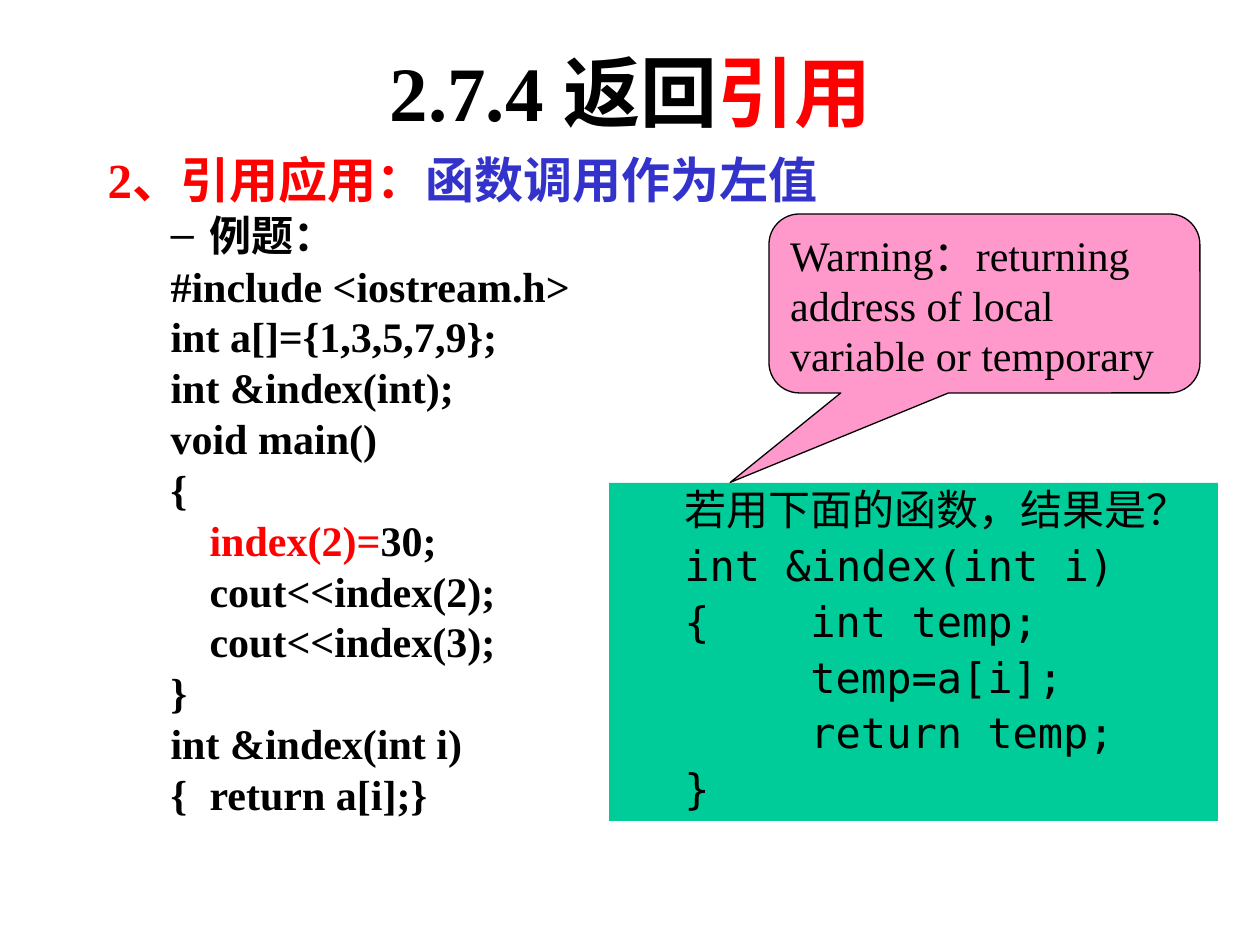
from lxml import etree
from pptx import Presentation
from pptx.dml.color import RGBColor
from pptx.enum.shapes import MSO_SHAPE
from pptx.enum.text import MSO_ANCHOR, MSO_AUTO_SIZE, PP_ALIGN
from pptx.oxml.ns import qn
from pptx.util import Emu, Pt

RECTANGLE, CALLOUT = MSO_SHAPE.RECTANGLE, MSO_SHAPE.ROUNDED_RECTANGULAR_CALLOUT
TOP, MIDDLE = MSO_ANCHOR.TOP, MSO_ANCHOR.MIDDLE
LEFT, CENTER = PP_ALIGN.LEFT, PP_ALIGN.CENTER
NO_FIT = MSO_AUTO_SIZE.NONE

THEME = {
    "black": "000000", "red": "FF0000", "blue": "3333CC",
    "green": "00CC99", "pink": "FF99CC",
    "serif": "Times New Roman", "mono": "DejaVu Sans Mono",
    "title": 44, "heading": 28, "text": 24,
}

# Content: each line is a list of (text, colour) spans
TITLE = [("2.7.4 返回", "black"), ("引用", "red")]
HEADING = [("2、引用应用：", "red"), ("函数调用作为左值", "blue")]
EXAMPLE = [("例题：", "black")]
PROGRAM = [
    [("#include <iostream.h>", "black")],
    [("int a[]={1,3,5,7,9};", "black")],
    [("int &index(int);", "black")],
    [("void main()", "black")],
    [("{", "black")],
    [("\t", "black"), ("index(2)=", "red"), ("30;", "black")],
    [("\tcout<<index(2);", "black")],
    [("\tcout<<index(3);", "black")],
    [("}", "black")],
    [("int &index(int i)", "black")],
    [("{\treturn a[i];}", "black")],
]
QUESTION = ["若用下面的函数，结果是？", "int &index(int i)", "{\tint temp;",
            "\ttemp=a[i];", "\treturn temp;", "}"]
WARNING = [("Warning：returning address of local variable or temporary", "black")]

# Places in px: left, top, width, height
PAGE = (1260, 945)
TITLE_AT = (95, 26, 1071, 129)
BODY_AT = (95, 155, 1071, 685)
QUESTION_AT = (609, 483, 609, 338)
WARNING_AT = (769, 214, 431, 179)
CALLOUT_POINT = (-0.59, 1.0, 0.17)

# Paragraph styles; margin and hang in px
TITLE_STYLE = {"size": "title", "bold": True, "align": CENTER}
HEADING_STYLE = {"size": "heading", "bold": True, "margin": 47, "hang": 47,
                 "line_spacing": 0.8, "before": 7}
CODE_STYLE = {"size": "text", "bold": True, "margin": 102, "hang": 39,
              "line_spacing": 0.8, "before": 6, "level": 1}
EXAMPLE_STYLE = {**CODE_STYLE, "bullet": "–"}
QUESTION_STYLE = {"size": "text", "font": "mono", "margin": 189, "hang": 126,
                  "line_spacing": 0.9, "before": 6}
WARNING_STYLE = {"size": "text"}


def px(value):
    return Emu(round(value * 914400 / 126))


def colour(name):
    return RGBColor.from_string(THEME[name])


def set_attributes(target, values):
    for name, value in values.items():
        setattr(target, name, value)


def place(shape, at):
    set_attributes(shape, dict(zip(("left", "top", "width", "height"), map(px, at))))


def write(shape, lines, anchor=TOP):
    """Fill a shape with (spans, style) lines."""
    frame = shape.text_frame
    set_attributes(frame, {"word_wrap": True, "auto_size": NO_FIT,
                           "vertical_anchor": anchor})
    for number, (spans, style) in enumerate(lines):
        para = frame.add_paragraph() if number else frame.paragraphs[0]
        set_attributes(para, {
            "alignment": style.get("align", LEFT),
            "level": style.get("level", 0),
            "line_spacing": style.get("line_spacing", 1.0),
            "space_before": Pt(style.get("before", 0)),
        })
        properties = para._p.get_or_add_pPr()
        properties.set("marL", str(px(style.get("margin", 0))))
        properties.set("indent", str(-px(style.get("hang", 0))))
        if "bullet" in style:
            etree.SubElement(properties, qn("a:buChar"), char=style["bullet"])
        else:
            etree.SubElement(properties, qn("a:buNone"))
        for text, ink in spans:
            span = para.add_run()
            span.text = text
            set_attributes(span.font, {
                "name": THEME[style.get("font", "serif")],
                "size": Pt(THEME[style["size"]]),
                "bold": style.get("bold", False),
            })
            span.font.color.rgb = colour(ink)


def add_box(page, kind, at, fill):
    box = page.shapes.add_shape(kind, *map(px, at))
    box.shadow.inherit = False
    box.fill.solid()
    box.fill.fore_color.rgb = colour(fill)
    return box


deck = Presentation()
deck.slide_width, deck.slide_height = map(px, PAGE)
page = deck.slides.add_slide(deck.slide_layouts[1])
title, body = page.placeholders

# Title and program listing
place(title, TITLE_AT)
write(title, [(TITLE, TITLE_STYLE)], MIDDLE)
place(body, BODY_AT)
write(body, [(HEADING, HEADING_STYLE), (EXAMPLE, EXAMPLE_STYLE)]
      + [(line, CODE_STYLE) for line in PROGRAM])

# Question about the alternative function
question = add_box(page, RECTANGLE, QUESTION_AT, "green")
question.line.fill.background()
write(question, [([(line, "black")], QUESTION_STYLE) for line in QUESTION])

# Compiler warning
warning = add_box(page, CALLOUT, WARNING_AT, "pink")
warning.line.color.rgb = colour("black")
warning.line.width = Pt(0.75)
for number, value in enumerate(CALLOUT_POINT):
    warning.adjustments[number] = value
write(warning, [(WARNING, WARNING_STYLE)])

deck.save("out.pptx")
